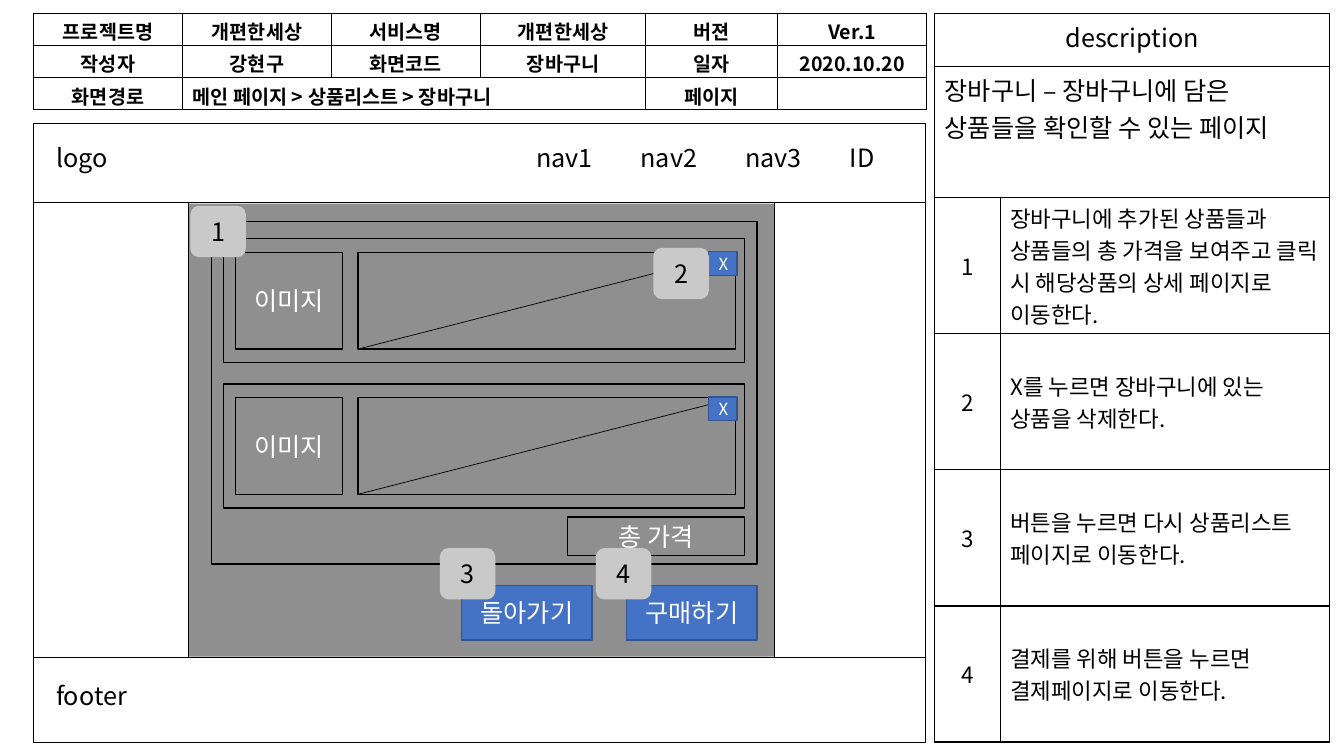
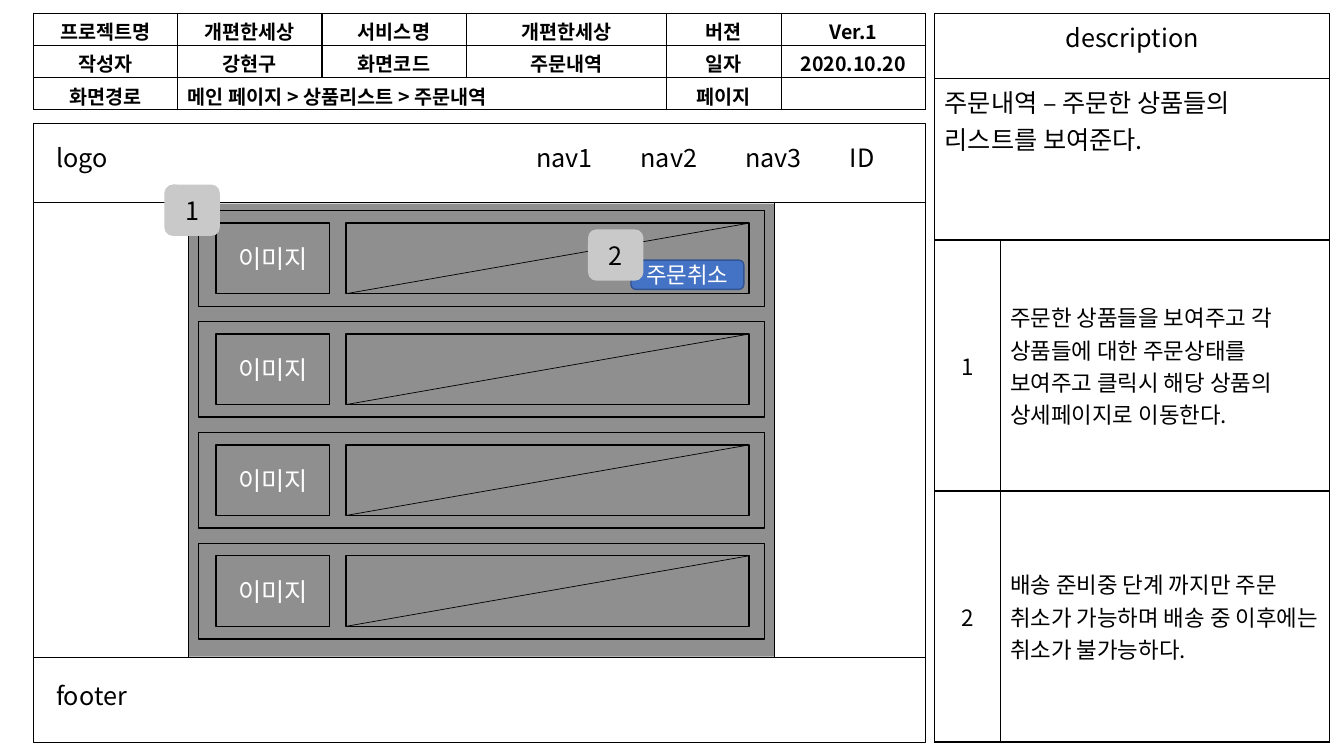
from lxml.etree import SubElement as Sub
from pptx import Presentation
from pptx.dml.color import RGBColor as RGB
from pptx.enum.shapes import MSO_CONNECTOR as LINK, MSO_SHAPE as KIND
from pptx.enum.text import MSO_ANCHOR as ANCHOR, PP_ALIGN as ALIGN
from pptx.oxml import parse_xml
from pptx.oxml.ns import nsdecls, qn
from pptx.util import Pt

HUES = {"ink": "000000", "white": "FFFFFF", "blue": "4472C4", "edge": "325491", "badge": "C9C9C9"}
FONT = "Noto Sans CJK KR"
LEFT, TOP, WIDE, HIGH = 24, 88.4, 637.2, 442
HEAD, FOOT = 144.9, 469.4
SIDE, SPAN = 134.8, 418.6


class Deck:
    """Holds the wireframe style and the slide being drawn."""

    def __init__(self):
        self.show = Presentation()
        self.show.slide_width, self.show.slide_height = Pt(960), Pt(540)

    def page(self):
        self.slide = self.show.slides.add_slide(self.show.slide_layouts[6])

    def hue(self, name):
        return RGB.from_string(HUES[name])

    def put(self, frame, text, size=18, hue="ink", bold=False, align=ALIGN.LEFT):
        para = frame.paragraphs[0]
        para.alignment = align
        if not text:
            para._p.get_or_add_endParaRPr().set("sz", str(size * 100))
            return
        run = para.add_run()
        run.text = text
        font = run.font
        font.name, font.size, font.bold = FONT, Pt(size), bold
        font.color.rgb = self.hue(hue)
        Sub(font._element, qn("a:ea"), typeface=FONT)

    def label(self, x, y, w, text):
        box = self.slide.shapes.add_textbox(Pt(x), Pt(y), Pt(w), Pt(36.7))
        box.text_frame.word_wrap = True
        self.put(box.text_frame, text)

    def box(self, x, y, w, h, text="", fill=None, edge="ink", hue="white", size=18,
            kind=KIND.RECTANGLE, alpha=None):
        shape = self.slide.shapes.add_shape(kind, Pt(x), Pt(y), Pt(w), Pt(h))
        shape.shadow.inherit = False
        if fill:
            shape.fill.solid()
            shape.fill.fore_color.rgb = self.hue(fill)
        else:
            shape.fill.background()
        if alpha:
            tint = shape._element.spPr.find(".//" + qn("a:srgbClr"))
            Sub(tint, qn("a:alpha"), val=str(alpha * 1000))
        if edge:
            shape.line.color.rgb = self.hue(edge)
            shape.line.width = Pt(1)
        else:
            shape.line.fill.background()
        if text:
            shape.text_frame.vertical_anchor = ANCHOR.MIDDLE
            self.put(shape.text_frame, text, size, hue, align=ALIGN.CENTER)

    def button(self, x, y, w, h, text, size=18, kind=KIND.RECTANGLE):
        self.box(x, y, w, h, text, "blue", "edge", size=size, kind=kind)

    def badge(self, x, y, text):
        self.box(x, y, 39.6, 36.7, text, "badge", None, "ink", kind=KIND.ROUNDED_RECTANGLE)

    def line(self, x1, y1, x2, y2):
        link = self.slide.shapes.add_connector(LINK.STRAIGHT, Pt(x1), Pt(y1), Pt(x2), Pt(y2))
        link.line.color.rgb = self.hue("ink")
        link.line.width = Pt(0.5)
        Sub(link._element.spPr, qn("a:effectLst"))

    def item(self, x, y, size, photo, body):
        w, h = size
        px, pw, ph = photo
        bx, bw = body
        top = y + (h - ph) / 2
        self.box(x, y, w, h)
        self.box(x + px, top, pw, ph, "이미지")
        self.box(x + bx, top, bw, ph)
        self.line(x + bx + bw, top, x + bx, top + ph)

    def grid(self, x, y, cols, rows):
        table = self.slide.shapes.add_table(
            len(rows), len(cols), Pt(x), Pt(y), Pt(sum(cols)), Pt(sum(rows))).table
        table.first_row = table.horz_banding = False
        for col, w in zip(table.columns, cols):
            col.width = Pt(w)
        for row, h in zip(table.rows, rows):
            row.height = Pt(h)
            for cell in row.cells:
                cell.fill.background()
                props = cell._tc.get_or_add_tcPr()
                for i, side in enumerate("LRTB"):
                    props.insert(i, parse_xml(
                        f'<a:ln{side} {nsdecls("a")} w="12700"><a:solidFill>'
                        f'<a:srgbClr val="{HUES["ink"]}"/></a:solidFill></a:ln{side}>'))
        return table

    def header(self, cols, name):
        table = self.grid(LEFT, 9.4, cols, [23] * 3)
        table.cell(2, 1).merge(table.cell(2, 3))
        trail = f"메인 페이지 > 상품리스트 > {name}"
        texts = [
            ["프로젝트명", "개편한세상", "서비스명", "개편한세상", "버젼", "Ver.1"],
            ["작성자", "강현구", "화면코드", name, "일자", "2020.10.20"],
            ["화면경로", trail, None, None, "페이지", ""]]
        for r, row in enumerate(texts):
            for c, text in enumerate(row):
                cell = table.cell(r, c)
                cell.margin_top, cell.margin_bottom = Pt(2.6), Pt(0)
                align = ALIGN.LEFT if text == trail else ALIGN.CENTER
                self.put(cell.text_frame, text, 14, bold=True, align=align)

    def notes(self, rows, about, texts):
        table = self.grid(667.6, 9.4, [46.8, 235.4], rows)
        for r, text in enumerate(["description", about]):
            table.cell(r, 0).merge(table.cell(r, 1))
            align = ALIGN.LEFT if r else ALIGN.CENTER
            self.put(table.cell(r, 0).text_frame, text, align=align)
        for r, text in enumerate(texts, 1):
            for c, (part, align) in enumerate([(str(r), ALIGN.CENTER), (text, ALIGN.LEFT)]):
                cell = table.cell(r + 1, c)
                cell.vertical_anchor = ANCHOR.MIDDLE
                cell.margin_top = cell.margin_bottom = Pt(2)
                self.put(cell.text_frame, part, 16, align=align)

    def frame(self):
        self.box(LEFT, TOP, WIDE, HIGH)
        for y in (HEAD, FOOT):
            self.line(LEFT, y, LEFT + WIDE, y)
        for i, text in enumerate(["nav1", "nav2", "nav3", "ID"]):
            self.label(375.8 + 74.7 * i, 98.2, 59, text)
        self.label(33, 98, 58.3, "logo")
        self.label(33, 482.4, 134.6, "footer")
        for x in (SIDE, SIDE + SPAN):
            self.line(x, HEAD, x, FOOT)
        self.box(SIDE, HEAD + 0.6, SPAN, FOOT - HEAD - 0.9, fill="ink", edge=None, alpha=44)


def cart(deck):
    deck.page()
    deck.frame()
    deck.header([106.4, 106.4, 106.4, 118.2, 94.2, 106.4], "장바구니")
    deck.notes([38.2, 93.6] + [97.2] * 4, "장바구니 – 장바구니에 담은 상품들을 확인할 수 있는 페이지", [
        "장바구니에 추가된 상품들과 상품들의 총 가격을 보여주고 클릭 시 해당상품의 상세 페이지로 이동한다.",
        "X를 누르면 장바구니에 있는 상품을 삭제한다.",
        "버튼을 누르면 다시 상품리스트 페이지로 이동한다.",
        "결제를 위해 버튼을 누르면 결제페이지로 이동한다."])
    for x, text in [(329.8, "돌아가기"), (447.6, "구매하기")]:
        deck.button(x, 418.2, 93.2, 39, text)
    deck.box(151.2, 158.2, 389.6, 244.6)
    for i in range(2):
        y = 170.6 + 103.7 * i
        deck.item(159.8, y, (372, 88.6), (8.6, 76.3, 69), (95.8, 270))
        deck.button(506.2, y + 9.2, 20.4, 16.8, "X", 12)
    deck.box(405.4, 369.3, 126.6, 27.5, "총 가격")
    for x, y, text in [(136, 147, "1"), (466.7, 177, "2"), (314.2, 391.5, "3"), (425.6, 391.5, "4")]:
        deck.badge(x, y, text)


def orders(deck):
    deck.page()
    deck.frame()
    deck.header([103, 103, 103, 143.2, 82, 103], "주문내역")
    deck.notes([46.8, 115.2] + [179.3] * 2, "주문내역 – 주문한 상품들의 리스트를 보여준다.", [
        "주문한 상품들을 보여주고 각 상품들에 대한 주문상태를 보여주고 클릭시 해당 상품의 상세페이지로 이동한다.",
        "배송 준비중 단계 까지만 주문 취소가 가능하며 배송 중 이후에는 취소가 불가능하다."])
    for i in range(4):
        deck.item(142, 150.4 + 79.2 * i, (404, 68.4), (12.2, 81.4, 50.4), (105.1, 288))
    deck.button(450.7, 185.8, 80.6, 20.9, "주문취소", 16, KIND.ROUNDED_RECTANGLE)
    for x, y, text in [(117.4, 131.8, "1"), (420, 163.8, "2")]:
        deck.badge(x, y, text)


def main():
    deck = Deck()
    cart(deck)
    orders(deck)
    deck.show.save("out.pptx")


if __name__ == "__main__":
    main()
